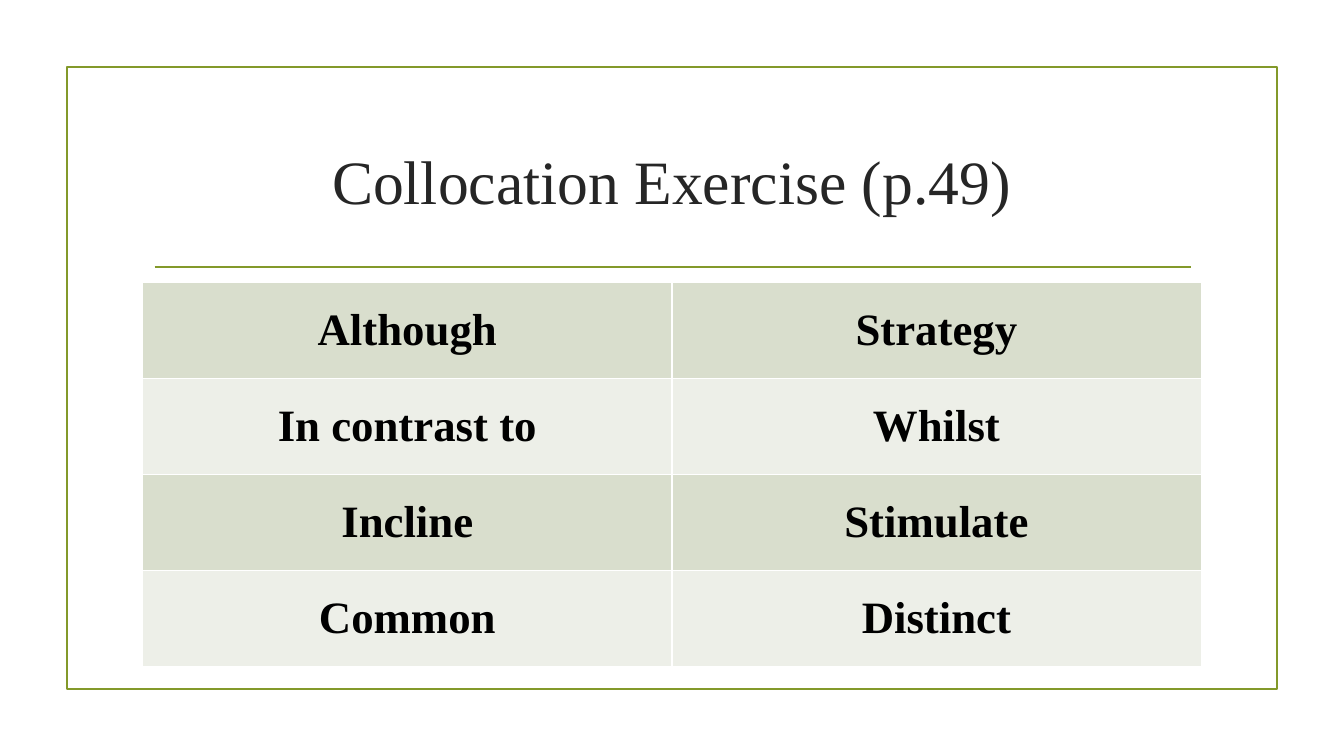
"""Build the collocation exercise slide."""
from dataclasses import dataclass
from typing import Any

from lxml.etree import SubElement
from pptx import Presentation
from pptx.dml.color import RGBColor
from pptx.enum.shapes import MSO_CONNECTOR, MSO_SHAPE
from pptx.enum.text import MSO_ANCHOR, MSO_AUTO_SIZE, PP_ALIGN
from pptx.oxml.ns import qn
from pptx.util import Inches, Length, Pt

OLIVE = RGBColor(0x83, 0x99, 0x2A)
CHARCOAL = RGBColor(0x26, 0x26, 0x26)
BLACK = RGBColor(0x00, 0x00, 0x00)
WHITE = RGBColor(0xFF, 0xFF, 0xFF)
SAGE = RGBColor(0xD9, 0xDE, 0xCD)
PALE_SAGE = RGBColor(0xED, 0xEF, 0xE8)

GRID_COLUMNS, GRID_ROWS = 160, 90
SLIDE_WIDTH, SLIDE_HEIGHT = Inches(13.3333), Inches(7.5)
HEADING_FORMAT = {"name": "Times New Roman", "size": Pt(44), "bold": False}
WORD_FORMAT = {"name": "Times New Roman", "size": Pt(32), "bold": True}
WORD_PAIRS = [
    ("Although", "Strategy"),
    ("In contrast to", "Whilst"),
    ("Incline", "Stimulate"),
    ("Common", "Distinct"),
]


@dataclass(frozen=True)
class Area:
    """A place on the slide in grid columns and rows."""

    column: float
    row: float
    columns: float
    rows: float

    def box(self) -> tuple[Length, Length, Length, Length]:
        """Return left, top, width and height."""
        return across(self.column), down(self.row), across(self.columns), down(self.rows)


def across(columns: float) -> Length:
    """Turn grid columns into a length."""
    return Length(round(SLIDE_WIDTH * columns / GRID_COLUMNS))


def down(rows: float) -> Length:
    """Turn grid rows into a length."""
    return Length(round(SLIDE_HEIGHT * rows / GRID_ROWS))


FRAME = Area(8, 8, 144, 74)
RULE = Area(18.4, 31.8, 123.4, 0)
HEADING = Area(17, 12.8, 126, 17.2)
WORDS = Area(17, 33.6, 126, 45.8)


def write(text_frame: Any, wording: str, color: RGBColor, format_values: dict[str, Any]) -> None:
    """Write one centred, formatted paragraph."""
    text_frame.text = wording
    paragraph = text_frame.paragraphs[0]
    paragraph.alignment = PP_ALIGN.CENTER
    font = paragraph.runs[0].font
    for attribute, value in format_values.items():
        setattr(font, attribute, value)
    font.color.rgb = color


def draw_frame(slide: Any) -> None:
    """Draw the olive frame and the rule under the heading."""
    frame = slide.shapes.add_shape(MSO_SHAPE.RECTANGLE, *FRAME.box())
    frame.shadow.inherit = False
    frame.fill.background()
    left, top, width, height = RULE.box()
    rule = slide.shapes.add_connector(
        MSO_CONNECTOR.STRAIGHT, left, top, left + width, top + height
    )
    SubElement(rule.element.spPr, qn("a:effectLst"))
    for outline in (frame.line, rule.line):
        outline.color.rgb = OLIVE
        outline.width = Pt(1.25)


def draw_heading(slide: Any) -> None:
    """Place and write the title placeholder."""
    heading = slide.shapes.title
    heading.left, heading.top, heading.width, heading.height = HEADING.box()
    heading.text_frame.auto_size = MSO_AUTO_SIZE.NONE
    heading.text_frame.vertical_anchor = MSO_ANCHOR.MIDDLE
    write(heading.text_frame, "Collocation Exercise (p.49)", CHARCOAL, HEADING_FORMAT)


def add_borders(cell: Any) -> None:
    """Give a cell thin white borders."""
    properties = cell._tc.get_or_add_tcPr()
    for side in ("lnL", "lnR", "lnT", "lnB"):
        border = SubElement(properties, qn(f"a:{side}"), w=str(Pt(1)))
        fill = SubElement(border, qn("a:solidFill"))
        SubElement(fill, qn("a:srgbClr"), val=str(WHITE))


def draw_words(slide: Any) -> None:
    """Draw the banded table of words."""
    words = slide.shapes.add_table(len(WORD_PAIRS), 2, *WORDS.box()).table
    words.first_row = words.horz_banding = False
    for row, pair in enumerate(WORD_PAIRS):
        for column, word in enumerate(pair):
            cell = words.cell(row, column)
            add_borders(cell)
            cell.fill.solid()
            cell.fill.fore_color.rgb = PALE_SAGE if row % 2 else SAGE
            cell.vertical_anchor = MSO_ANCHOR.MIDDLE
            write(cell.text_frame, word, BLACK, WORD_FORMAT)


def main() -> None:
    """Build and save the presentation."""
    presentation = Presentation()
    presentation.slide_width, presentation.slide_height = SLIDE_WIDTH, SLIDE_HEIGHT
    slide = presentation.slides.add_slide(presentation.slide_layouts.get_by_name("Title Only"))
    draw_frame(slide)
    draw_heading(slide)
    draw_words(slide)
    presentation.save("out.pptx")


if __name__ == "__main__":
    main()
